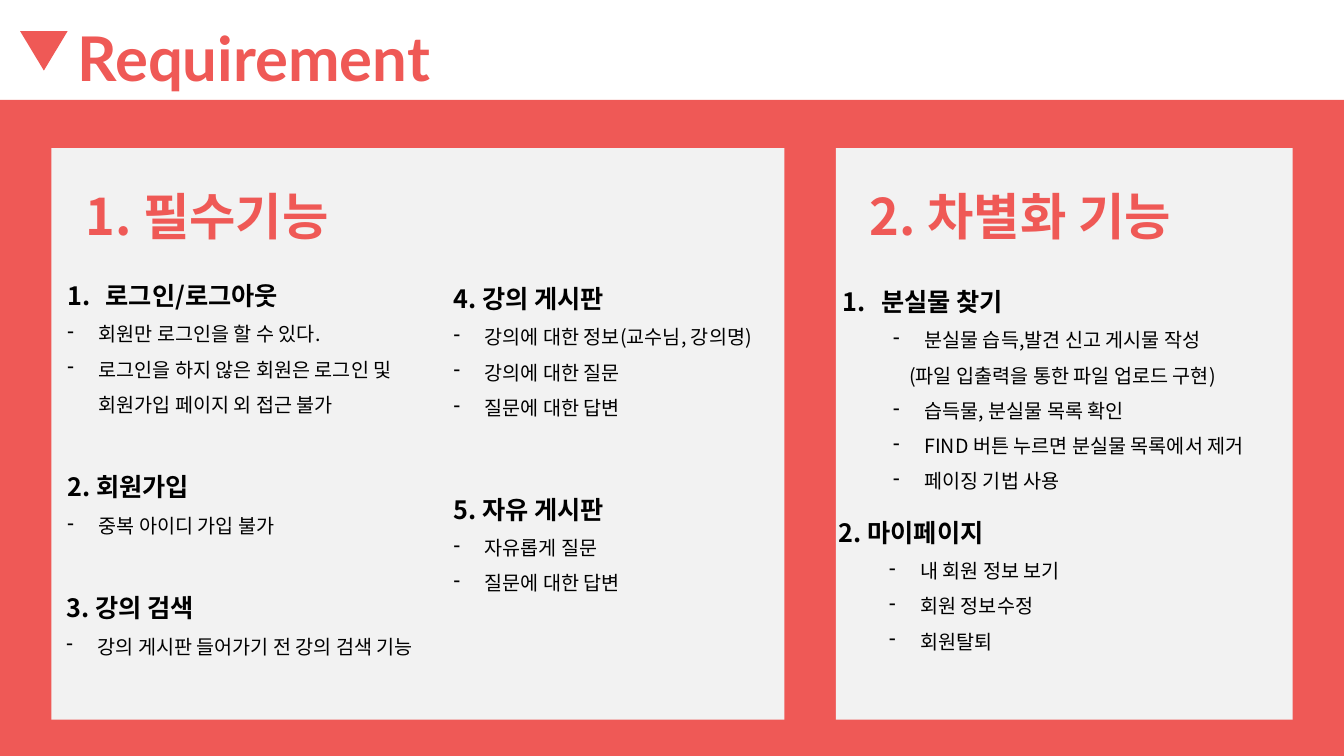
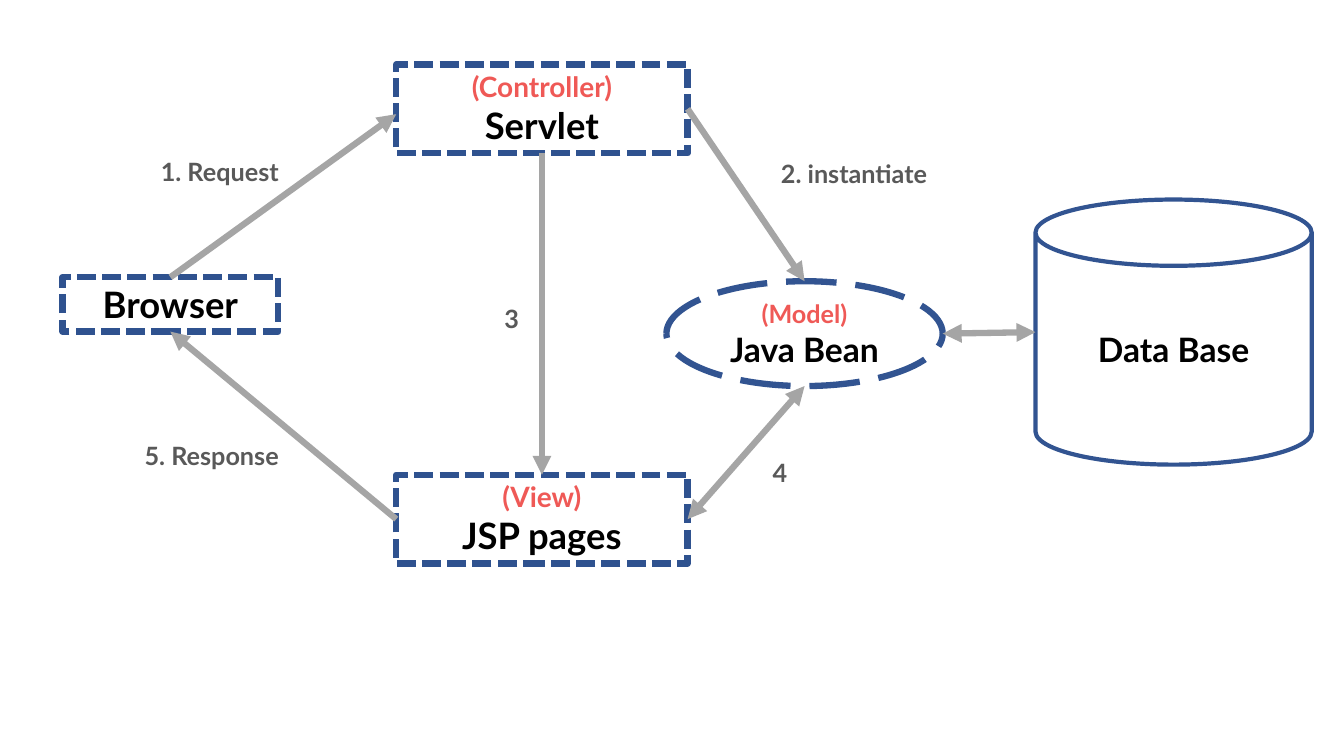
from lxml.etree import SubElement
from pptx import Presentation
from pptx.dml.color import RGBColor
from pptx.enum.dml import MSO_LINE
from pptx.enum.shapes import MSO_CONNECTOR, MSO_SHAPE
from pptx.enum.text import MSO_ANCHOR, MSO_AUTO_SIZE, PP_ALIGN
from pptx.oxml.ns import qn
from pptx.util import Inches, Pt

COLORS = {"coral": "EF5956", "panel": "F2F2F2", "black": "000000", "label": "595959",
          "navy": "2F528F", "blue": "325491", "arrow": "A5A5A5"}
LATIN, KOREAN = "Lato", "Noto Sans CJK KR"

STYLES = {
    "title": {"name": LATIN, "size": Pt(44), "bold": True, "color": "coral"},
    "panel_title": {"name": KOREAN, "size": Pt(36), "bold": True, "color": "coral"},
    "heading": {"name": KOREAN, "size": Pt(18), "bold": True, "color": "black"},
    "item": {"name": KOREAN, "size": Pt(14), "bold": False, "color": "black"},
    "label": {"name": LATIN, "size": Pt(18), "bold": True, "color": "label"},
    "role": {"name": LATIN, "size": Pt(20), "bold": True, "color": "coral"},
    "node": {"name": LATIN, "size": Pt(26), "bold": True, "color": "black"},
    "small_role": {"name": LATIN, "size": Pt(18), "bold": True, "color": "coral"},
    "small_node": {"name": LATIN, "size": Pt(24), "bold": True, "color": "black"},
}

PANELS = [
    ("1. 필수기능", 0.51, 7.27),
    ("2. 차별화 기능", 8.29, 4.53),
]

NUMBERED, PLAIN, DASH, SUB_DASH, NOTE = "numbered", "plain", "dash", "sub_dash", "note"
PARAGRAPHS = {
    NUMBERED: ("heading", 0.38, -0.38, ("a:buAutoNum", {"type": "arabicPeriod"})),
    PLAIN: ("heading", 0, 0, None),
    DASH: ("item", 0.31, -0.31, ("a:buChar", {"char": "-"})),
    SUB_DASH: ("item", 0.81, -0.31, ("a:buChar", {"char": "-"})),
    NOTE: ("item", 0.66, 0, None),
}
FEATURES = [
    ((0.57, 2.58, 3.86, 1.62), [
        (NUMBERED, "로그인/로그아웃"),
        (DASH, "회원만 로그인을 할 수 있다."),
        (DASH, "로그인을 하지 않은 회원은 로그인 및 회원가입 페이지 외 접근 불가")]),
    ((0.57, 4.48, 3.86, 0.91), [
        (PLAIN, "2. 회원가입"),
        (DASH, "중복 아이디 가입 불가")]),
    ((0.56, 5.68, 4.06, 0.91), [
        (PLAIN, "3. 강의 검색"),
        (DASH, "강의 게시판 들어가기 전 강의 검색 기능")]),
    ((4.4, 2.61, 4.06, 1.62), [
        (PLAIN, "4. 강의 게시판"),
        (DASH, "강의에 대한 정보(교수님, 강의명)"),
        (DASH, "강의에 대한 질문"),
        (DASH, "질문에 대한 답변")]),
    ((4.4, 4.7, 4.06, 1.26), [
        (PLAIN, "5. 자유 게시판"),
        (DASH, "자유롭게 질문"),
        (DASH, "질문에 대한 답변")]),
    ((8.26, 2.64, 4.71, 2.28), [
        (NUMBERED, "분실물 찾기"),
        (SUB_DASH, "분실물 습득,발견 신고 게시물 작성"),
        (NOTE, "(파일 입출력을 통한 파일 업로드 구현)"),
        (SUB_DASH, "습득물, 분실물 목록 확인"),
        (SUB_DASH, "FIND 버튼 누르면 분실물 목록에서 제거"),
        (SUB_DASH, "페이징 기법 사용")]),
    ((8.22, 4.93, 4.71, 1.62), [
        (PLAIN, "2. 마이페이지"),
        (SUB_DASH, "내 회원 정보 보기"),
        (SUB_DASH, "회원 정보수정"),
        (SUB_DASH, "회원탈퇴")]),
]

TOP, MIDDLE = MSO_ANCHOR.TOP, MSO_ANCHOR.MIDDLE
NODES = {
    "browser": (MSO_SHAPE.RECTANGLE, (0.62, 2.75, 2.14, 0.54), TOP,
                ("navy", 4.5, MSO_LINE.SQUARE_DOT), [("node", "Browser")]),
    "servlet": (MSO_SHAPE.RECTANGLE, (3.93, 0.64, 2.89, 0.88), TOP,
                ("navy", 4.5, MSO_LINE.SQUARE_DOT),
                [("role", "(Controller)"), ("node", "Servlet")]),
    "pages": (MSO_SHAPE.RECTANGLE, (3.93, 4.71, 2.89, 0.88), TOP,
              ("navy", 4.5, MSO_LINE.SQUARE_DOT),
              [("role", "(View)"), ("node", "JSP pages")]),
    "bean": (MSO_SHAPE.OVAL, (6.61, 2.79, 2.74, 1.04), MIDDLE,
             ("blue", 4.5, MSO_LINE.LONG_DASH),
             [("small_role", "(Model)"), ("small_node", "Java Bean")]),
    "database": (MSO_SHAPE.CAN, (10.27, 1.98, 2.74, 2.63), MIDDLE,
                 ("blue", 3, None), [("small_node", "Data Base")]),
}
SIDES = {"top": (0.5, 0), "bottom": (0.5, 1), "left": (0, 0.5), "right": (1, 0.5),
         "left_low": (0, 0.56)}
ONE_WAY, TWO_WAY = ("a:tailEnd",), ("a:headEnd", "a:tailEnd")
ARROWS = [
    ("browser", "top", "servlet", "left_low", ONE_WAY),
    ("servlet", "right", "bean", "top", ONE_WAY),
    ("pages", "left", "browser", "bottom", ONE_WAY),
    ("servlet", "bottom", "pages", "top", ONE_WAY),
    ("pages", "right", "bean", "bottom", TWO_WAY),
    ("bean", "right", "database", "left", TWO_WAY),
]
LABELS = [
    ("1. Request", (1.11, 1.5, 2.14, 0.42)),
    ("2. instantiate", (7.4, 1.52, 2.14, 0.42)),
    ("3", (4.83, 2.96, 0.49, 0.4)),
    ("4", (7.49, 4.49, 0.49, 0.4)),
    ("5. Response", (1.03, 4.32, 2.14, 0.42)),
]


def rgb(name):
    return RGBColor.from_string(COLORS[name])


def lengths(box):
    return [Inches(value) for value in box]


def write_run(paragraph, text, style):
    run = paragraph.add_run()
    run.text = text
    for attribute, value in STYLES[style].items():
        if attribute == "color":
            run.font.color.rgb = rgb(value)
        else:
            setattr(run.font, attribute, value)
    properties = run.font._element
    SubElement(properties, qn("a:ea"), typeface=KOREAN)


def write_lines(frame, lines, anchor=TOP, **paragraph_format):
    settings = {"word_wrap": True, "auto_size": MSO_AUTO_SIZE.NONE, "vertical_anchor": anchor}
    for attribute, value in settings.items():
        setattr(frame, attribute, value)
    for index, (style, text) in enumerate(lines):
        paragraph = frame.add_paragraph() if index else frame.paragraphs[0]
        for attribute, value in paragraph_format.items():
            setattr(paragraph, attribute, value)
        write_run(paragraph, text, style)


def add_text(slide, box, lines, **formats):
    shape = slide.shapes.add_textbox(*lengths(box))
    write_lines(shape.text_frame, lines, **formats)
    return shape


def add_block(slide, kind, box, fill=None, line=None):
    shape = slide.shapes.add_shape(kind, *lengths(box))
    shape.shadow.inherit = False
    if fill:
        shape.fill.solid()
        shape.fill.fore_color.rgb = rgb(fill)
    else:
        shape.fill.background()
    if line:
        color, width, dash = line
        shape.line.color.rgb = rgb(color)
        shape.line.width = Pt(width)
        if dash:
            shape.line.dash_style = dash
    else:
        shape.line.fill.background()
    return shape


def add_feature(slide, box, entries):
    lines = [(PARAGRAPHS[kind][0], text) for kind, text in entries]
    shape = add_text(slide, box, lines, line_spacing=1.5)
    for paragraph, (kind, _) in zip(shape.text_frame.paragraphs, entries):
        _, margin, indent, bullet = PARAGRAPHS[kind]
        properties = paragraph._p.get_or_add_pPr()
        properties.set("marL", str(Inches(margin)))
        properties.set("indent", str(Inches(indent)))
        if bullet:
            tag, attributes = bullet
            SubElement(properties, qn(tag), attributes)


def side_point(node, side):
    left, top, width, height = NODES[node][1]
    across, down = SIDES[side]
    return Inches(left + width * across), Inches(top + height * down)


def add_arrow(slide, start, start_side, end, end_side, heads):
    connector = slide.shapes.add_connector(
        MSO_CONNECTOR.STRAIGHT, *side_point(start, start_side), *side_point(end, end_side))
    connector.line.color.rgb = rgb("arrow")
    connector.line.width = Pt(4.5)
    for head in heads:
        SubElement(connector.line._get_or_add_ln(), qn(head), type="triangle")
    SubElement(connector._element.spPr, qn("a:effectLst"))


def build_requirements(presentation):
    slide = presentation.slides.add_slide(presentation.slide_layouts[5])
    title = slide.shapes.title
    title.left, title.top, title.width, title.height = lengths((0.67, 0.15, 4.21, 0.84))
    write_lines(title.text_frame, [("title", "Requirement")], alignment=PP_ALIGN.LEFT)
    marker = add_block(slide, MSO_SHAPE.ISOSCELES_TRIANGLE, (0.2, 0.31, 0.47, 0.39), "coral")
    marker.rotation = 180
    add_block(slide, MSO_SHAPE.RECTANGLE, (0, 0.99, 13.33, 6.51), "coral")
    for heading, left, width in PANELS:
        add_block(slide, MSO_SHAPE.RECTANGLE, (left, 1.47, width, 5.67), "panel")
        add_text(slide, (left + 0.24, 1.74, 3.78, 0.87), [("panel_title", heading)],
                 anchor=MIDDLE, line_spacing=0.9)
    for box, entries in FEATURES:
        add_feature(slide, box, entries)


def build_architecture(presentation):
    slide = presentation.slides.add_slide(presentation.slide_layouts[6])
    for kind, box, anchor, line, lines in NODES.values():
        shape = add_block(slide, kind, box, line=line)
        write_lines(shape.text_frame, lines, anchor, alignment=PP_ALIGN.CENTER)
    for arrow in ARROWS:
        add_arrow(slide, *arrow)
    for text, box in LABELS:
        add_text(slide, box, [("label", text)], alignment=PP_ALIGN.CENTER)


def main():
    presentation = Presentation()
    presentation.slide_width, presentation.slide_height = lengths((13.33, 7.5))
    build_requirements(presentation)
    build_architecture(presentation)
    presentation.save("out.pptx")


if __name__ == "__main__":
    main()
